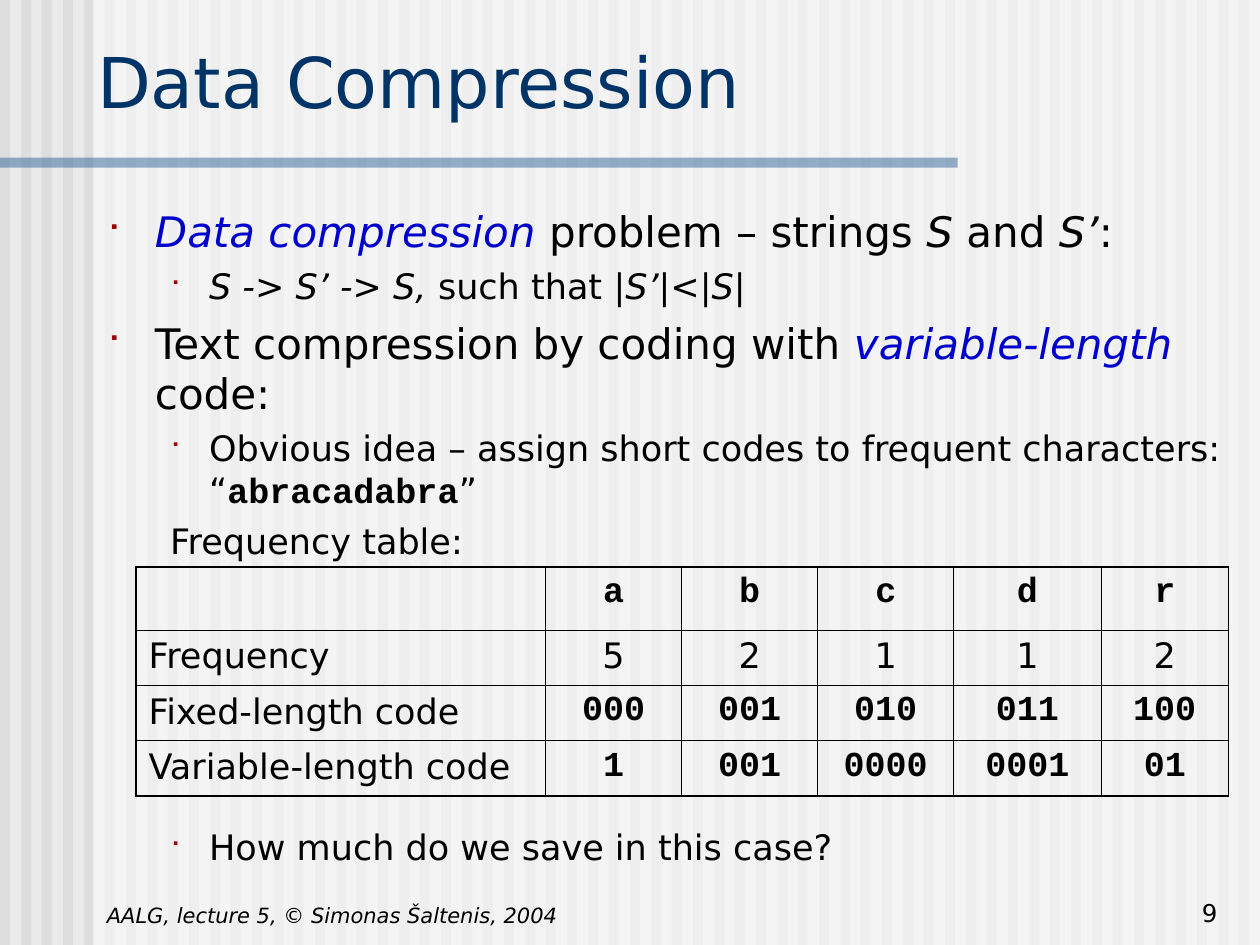
from lxml import etree
from pptx import Presentation
from pptx.dml.color import RGBColor
from pptx.enum import shapes, text
from pptx.oxml import ns
from pptx.util import Inches, Pt

BACKGROUND = RGBColor(0xEA, 0xEA, 0xEA)
STRIPE = RGBColor(0xDD, 0xDD, 0xDD)
WHITE = RGBColor(0xFF, 0xFF, 0xFF)
RULE = RGBColor(0x33, 0x66, 0x99)
TITLE = RGBColor(0x00, 0x33, 0x66)
TERM = RGBColor(0x00, 0x00, 0xCC)
BULLET = RGBColor(0x9A, 0x00, 0x00)
BLACK = RGBColor(0x00, 0x00, 0x00)

SANS, MONO = "DejaVu Sans", "Courier New"
THIN, THICK = Pt(0.45), Pt(1.08)
PLAIN, ITALIC, KEYWORD, CODE = "plain", "italic", "keyword", "code"

# Level, bulleted, space before, spans
OUTLINE = [
    (0, True, 0, [("Data compression ", KEYWORD), ("problem – strings ", PLAIN),
                  ("S", ITALIC), (" and ", PLAIN), ("S’", ITALIC), (":", PLAIN)]),
    (1, True, 5, [("S -> S’ -> S, ", ITALIC), ("such that", PLAIN),
                  (" |S’|<|S|", ITALIC)]),
    (0, True, 6, [("Text compression by coding with ", PLAIN),
                  ("variable-length ", KEYWORD), ("code:", PLAIN)]),
    (1, True, 5, [("Obvious idea – assign short codes to frequent characters: “", PLAIN),
                  ("abracadabra", CODE), ("”", PLAIN)]),
    (1, False, 5, [("Frequency table:", PLAIN)]),
    (1, True, 151, [("How much do we save in this case?", PLAIN)]),
]
# Size, left margin, hanging indent, bullet percentage
LEVELS = [(24, 0.38, 0.38, 75), (20, 0.81, 0.31, 70)]

CODES = [
    ["", "a", "b", "c", "d", "r"],
    ["Frequency", "5", "2", "1", "1", "2"],
    ["Fixed-length code", "000", "001", "010", "011", "100"],
    ["Variable-length code", "1", "001", "0000", "0001", "01"],
]
FREQUENCY_ROW = 1
COLUMN_WIDTHS = [3.25, 1.08, 1.08, 1.08, 1.17, 1.01]
ROW_HEIGHTS = [0.5, 0.44, 0.44, 0.44]


def add_xml(parent, tag, **attributes):
    return etree.SubElement(parent, ns.qn(tag), attributes)


def set_font(font, size, color=BLACK, name=SANS):
    font.name, font.size = name, Pt(size)
    font.color.rgb = color


def add_band(page, left, top, width, height, color, opacity=None):
    band = page.shapes.add_shape(shapes.MSO_SHAPE.RECTANGLE, Inches(left),
                                 Inches(top), Inches(width), Inches(height))
    band.shadow.inherit = False
    band.fill.solid()
    band.fill.fore_color.rgb = color
    band.line.fill.background()
    if opacity:
        fill_color = band._element.spPr.find(".//" + ns.qn("a:srgbClr"))
        add_xml(fill_color, "a:alpha", val=str(opacity * 1000))


def add_backdrop(page):
    page.background.fill.solid()
    page.background.fill.fore_color.rgb = BACKGROUND
    for index in range(60):
        add_band(page, round(index / 6, 2), 0, 0.08, 7.5, STRIPE)
    add_band(page, 0.74, 0, 9.26, 7.5, WHITE, 50)
    add_band(page, 0, 1.25, 7.6, 0.08, RULE, 50)


def place(page, holder, left, top, width, height):
    """Move a placeholder into position, in front of the backdrop."""
    holder.left, holder.top = Inches(left), Inches(top)
    holder.width, holder.height = Inches(width), Inches(height)
    page.shapes._spTree.append(holder._element)
    holder.text_frame.auto_size = text.MSO_AUTO_SIZE.NONE


def fill_title(page, title):
    place(page, title, 0.67, 0.25, 8.93, 0.77)
    title.text_frame.vertical_anchor = text.MSO_ANCHOR.BOTTOM
    title.text_frame.text = "Data Compression"
    para = title.text_frame.paragraphs[0]
    para.alignment = text.PP_ALIGN.LEFT
    set_font(para.font, 40, TITLE)


def format_bullet(para, level, bulleted):
    _, margin, hanging, percent = LEVELS[level]
    props = para._p.get_or_add_pPr()
    props.set("marL", str(Inches(margin)))
    props.set("indent", str(-Inches(hanging)))
    if bulleted:
        add_xml(add_xml(props, "a:buClr"), "a:srgbClr", val=str(BULLET))
        add_xml(props, "a:buSzPct", val=str(percent * 1000))
        add_xml(props, "a:buFont", typeface="Wingdings")
        add_xml(props, "a:buChar", char="■")
    else:
        add_xml(props, "a:buNone")


def add_span(para, words, style):
    span = para.add_run()
    span.text = words
    if style in (ITALIC, KEYWORD):
        span.font.italic = True
    if style == KEYWORD:
        span.font.color.rgb = TERM
    if style == CODE:
        span.font.name, span.font.bold = MONO, True


def fill_outline(page, body):
    place(page, body, 0.75, 1.58, 9.12, 5.42)
    frame = body.text_frame
    for index, (level, bulleted, space, spans) in enumerate(OUTLINE):
        para = frame.add_paragraph() if index else frame.paragraphs[0]
        para.level = level
        format_bullet(para, level, bulleted)
        para.space_before = Pt(space)
        set_font(para.font, LEVELS[level][0])
        for words, style in spans:
            add_span(para, words, style)


def set_borders(cell, widths):
    props = cell._tc.get_or_add_tcPr()
    for position, (side, width) in enumerate(widths.items()):
        line = etree.Element(ns.qn("a:" + side), w=str(width))
        add_xml(add_xml(line, "a:solidFill"), "a:srgbClr", val=str(BLACK))
        props.insert(position, line)


def add_code_table(page):
    rows, columns = len(ROW_HEIGHTS), len(COLUMN_WIDTHS)
    table = page.shapes.add_table(rows, columns, Inches(1.08), Inches(4.5),
                                  Inches(sum(COLUMN_WIDTHS)),
                                  Inches(sum(ROW_HEIGHTS))).table
    table.first_row = table.horz_banding = False
    for column, width in zip(table.columns, COLUMN_WIDTHS):
        column.width = Inches(width)
    for row, height in zip(table.rows, ROW_HEIGHTS):
        row.height = Inches(height)
    for r, values in enumerate(CODES):
        for c, value in enumerate(values):
            cell = table.cell(r, c)
            cell.fill.background()
            set_borders(cell, {
                "lnL": THICK if c == 0 else THIN,
                "lnR": THICK if c == columns - 1 else THIN,
                "lnT": THICK if r == 0 else THIN,
                "lnB": THICK if r == rows - 1 else THIN})
            cell.text = value
            para = cell.text_frame.paragraphs[0]
            is_code = c > 0 and r != FREQUENCY_ROW
            para.alignment = text.PP_ALIGN.CENTER if c else text.PP_ALIGN.LEFT
            set_font(para.font, 20, name=MONO if is_code else SANS)
            para.font.bold = is_code


def add_footer(page, left, width, words, size, align, italic=False):
    box = page.shapes.add_textbox(Inches(left), Inches(7.04), Inches(width), Inches(0.37))
    box.text_frame.word_wrap = True
    box.text_frame.vertical_anchor = text.MSO_ANCHOR.BOTTOM
    box.text_frame.text = words
    para = box.text_frame.paragraphs[0]
    para.alignment = align
    set_font(para.font, size)
    para.font.italic = italic


def main():
    deck = Presentation()
    deck.slide_width, deck.slide_height = Inches(10), Inches(7.5)
    page = deck.slides.add_slide(deck.slide_layouts[1])
    title, body = page.shapes.title, page.placeholders[1]
    add_backdrop(page)
    fill_title(page, title)
    fill_outline(page, body)
    add_code_table(page)
    add_footer(page, 0.75, 4.67, "AALG, lecture 5, © Simonas Šaltenis, 2004", 12,
               text.PP_ALIGN.LEFT, italic=True)
    add_footer(page, 8.17, 1.59, "9", 14, text.PP_ALIGN.RIGHT)
    deck.save("out.pptx")


if __name__ == "__main__":
    main()
